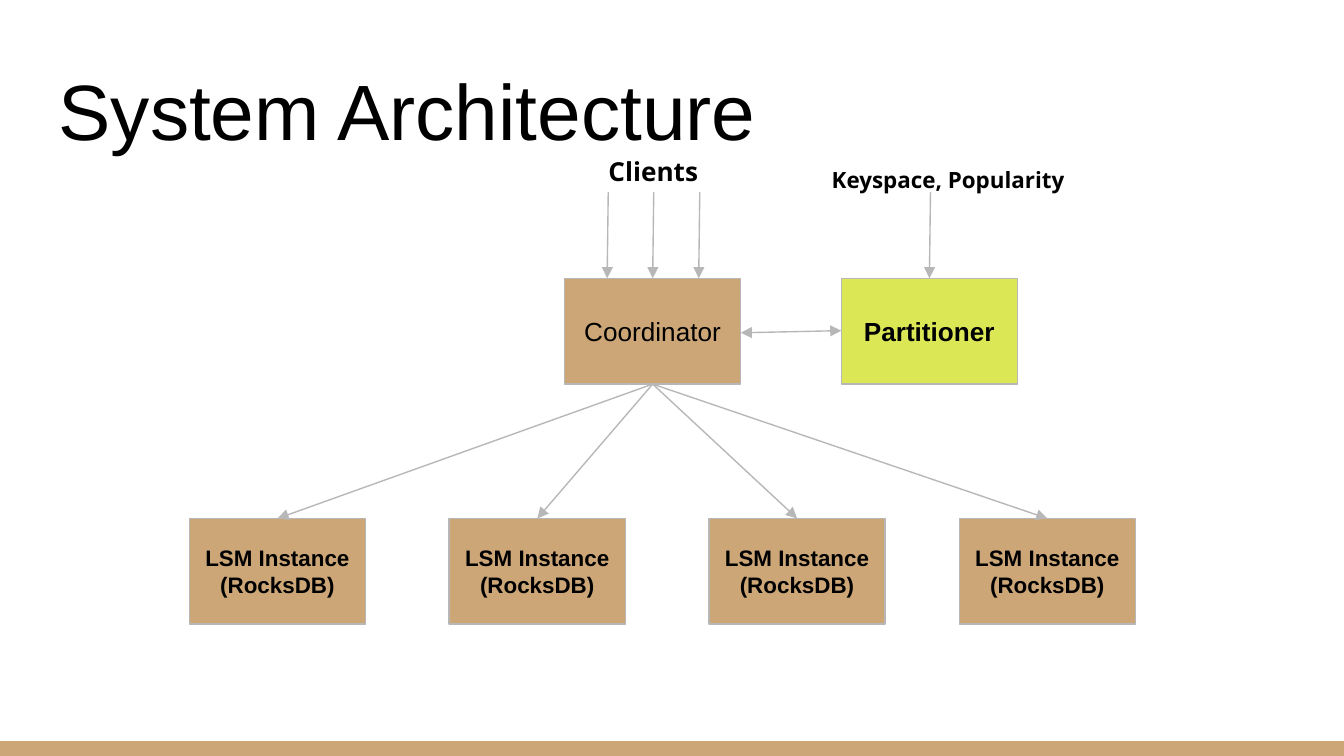
from collections import namedtuple
from dataclasses import dataclass

from lxml.etree import SubElement
from pptx import Presentation
from pptx.dml.color import RGBColor as Rgb
from pptx.enum.shapes import MSO_CONNECTOR as Link, MSO_SHAPE as Kind
from pptx.enum.text import MSO_ANCHOR as Anchor, PP_ALIGN as Align
from pptx.oxml.ns import qn
from pptx.util import Cm, Pt

Box = namedtuple("Box", "x y w h")


@dataclass(frozen=True)
class Theme:
    tan: str = "CCA677"
    lime: str = "DCE755"
    gray: str = "B7B7B7"
    ink: str = "000000"
    sans: str = "Arial"
    open: str = "Open Sans"
    title: int = 42
    label: int = 14
    small: int = 12
    line: float = 0.75


LOOK = Theme()
WIDE, HIGH = 3.33, 2.0
NODES = ["LSM Instance (RocksDB)"] + ["LSM Instance\n(RocksDB)"] * 3
LEFTS = [3.58, 8.49, 13.4, 18.13]


def color(code):
    return Rgb.from_string(code)


def write(shape, text, size, bold=False, font=LOOK.sans,
          align=Align.LEFT, anchor=Anchor.TOP):
    frame = shape.text_frame
    frame.word_wrap = True
    frame.vertical_anchor = anchor
    frame.margin_left = frame.margin_right = Cm(0.25)
    frame.margin_top = frame.margin_bottom = Cm(0.25)
    for i, line in enumerate(text.split("\n")):
        para = frame.add_paragraph() if i else frame.paragraphs[0]
        para.alignment = align
        run = para.add_run()
        run.text = line
        run.font.name = font
        run.font.size = Pt(size)
        run.font.bold = bold
        run.font.color.rgb = color(LOOK.ink)


def label(slide, box, text, size, **style):
    write(slide.shapes.add_textbox(*map(Cm, box)), text, size, **style)


def block(slide, box, fill):
    shape = slide.shapes.add_shape(Kind.RECTANGLE, *map(Cm, box))
    shape.shadow.inherit = False
    shape.fill.solid()
    shape.fill.fore_color.rgb = color(fill)
    shape.line.fill.background()
    return shape


def node(slide, box, text, size, fill=LOOK.tan, bold=True):
    shape = block(slide, box, fill)
    shape.line.color.rgb = color(LOOK.gray)
    shape.line.width = Pt(LOOK.line)
    write(shape, text, size, bold, align=Align.CENTER, anchor=Anchor.MIDDLE)


def arrow(slide, start, end, both=False):
    link = slide.shapes.add_connector(Link.STRAIGHT, *map(Cm, start + end))
    link.line.color.rgb = color(LOOK.gray)
    link.line.width = Pt(LOOK.line)
    stroke = link.line._get_or_add_ln()
    for tip in ("a:headEnd", "a:tailEnd") if both else ("a:tailEnd",):
        SubElement(stroke, qn(tip), type="triangle")
    SubElement(link._element.spPr, qn("a:effectLst"))


def header(slide, box):
    label(slide, box, "System Architecture", LOOK.title, anchor=Anchor.BOTTOM)


def footer(slide, box):
    block(slide, box, LOOK.tan)


def lead(slide, box):
    mid = box.x + box.w / 2
    node(slide, box, "Coordinator", LOOK.label, bold=False)
    for shift in (-0.86, 0, 0.87):
        arrow(slide, (mid + shift + 0.02, box.y - 1.63), (mid + shift, box.y))
    label(slide, Box(box.x + 0.58, box.y - 2.57, 2.29, 0.61), "Clients",
          LOOK.label, bold=True, font=LOOK.open)


def split(slide, box):
    mid = box.x + box.w / 2
    node(slide, box, "Partitioner", LOOK.label, LOOK.lime)
    arrow(slide, (mid + 0.02, box.y - 1.63), (mid, box.y))
    label(slide, Box(box.x - 0.43, box.y - 2.36, 5.18, 1.35),
          "Keyspace, Popularity", LOOK.small, bold=True, font=LOOK.open)


def store(slide, box, text, root):
    node(slide, box, text, LOOK.small)
    arrow(slide, root, (box.x + box.w / 2, box.y))


def main():
    deck = Presentation()
    deck.slide_width, deck.slide_height = Cm(25.4), Cm(14.29)
    slide = deck.slides.add_slide(deck.slide_layouts[6])
    footer(slide, Box(0, 14.01, 25.4, 0.28))
    header(slide, Box(0.86, 0.89, 23.67, 2.31))
    hub = Box(10.67, 5.26, WIDE, HIGH)
    part = Box(15.9, 5.26, WIDE, HIGH)
    lead(slide, hub)
    split(slide, part)
    arrow(slide, (hub.x + WIDE, 6.29), (part.x, 6.25), both=True)
    root = (hub.x + WIDE / 2, hub.y + HIGH)
    for left, text in zip(LEFTS, NODES):
        store(slide, Box(left, 9.8, WIDE, HIGH), text, root)
    deck.save("out.pptx")


if __name__ == "__main__":
    main()
